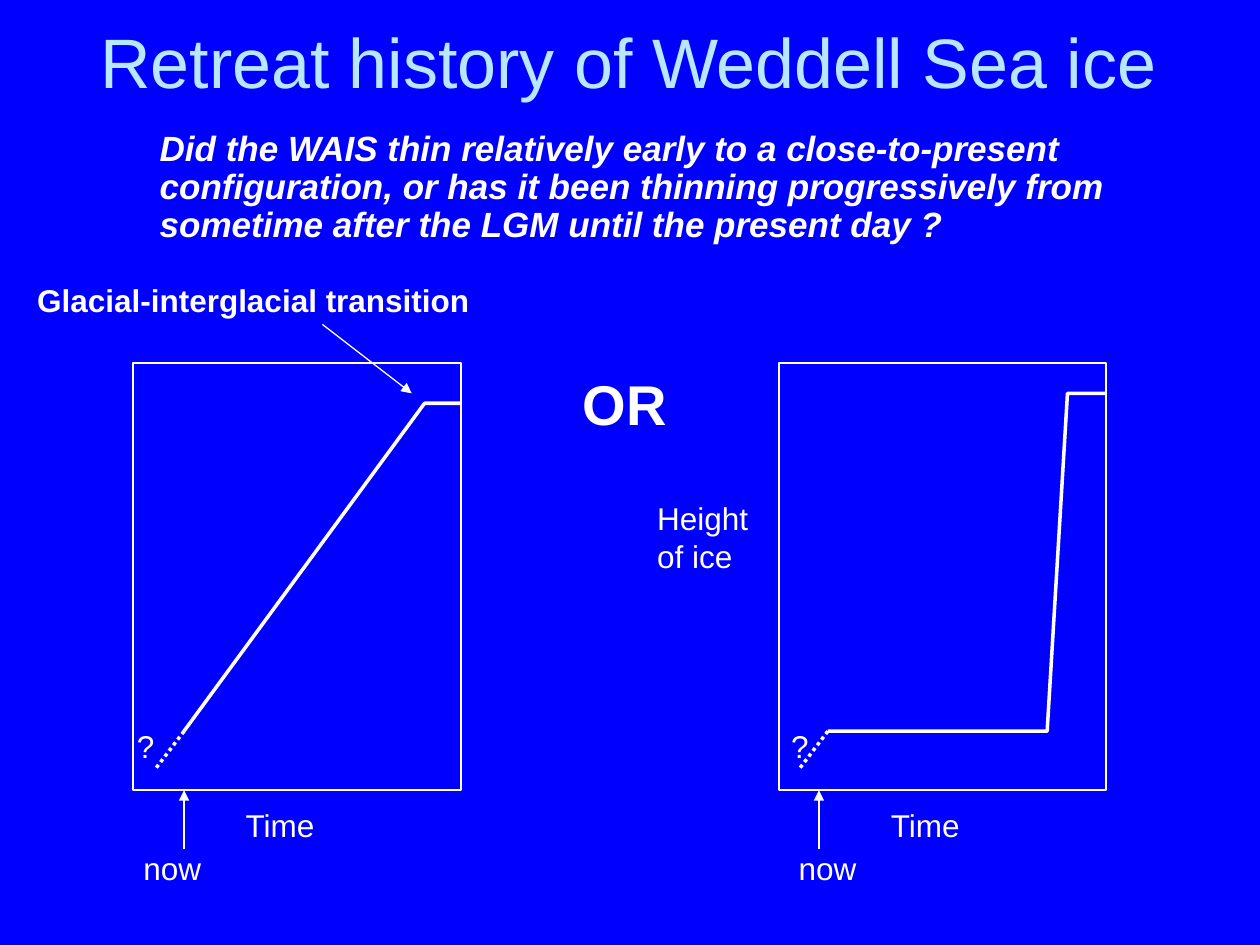
from pptx import Presentation
from pptx.dml.color import RGBColor
from pptx.enum.dml import MSO_LINE
from pptx.enum.shapes import MSO_CONNECTOR, MSO_SHAPE
from pptx.enum.text import MSO_ANCHOR, MSO_AUTO_SIZE, PP_ALIGN
from pptx.oxml.ns import qn
from pptx.util import Cm, Pt
from lxml.etree import SubElement

COLORS = {"back": "0000FF", "title": "B7E7FF", "ink": "FFFFFF"}
FONT = "Arial"
WIDE, HIGH = 6.6, 8.61  # graph frame, cm


def color(name):
    return RGBColor.from_string(COLORS[name])


def write(para, text, size, ink="ink", bold=False, italic=False):
    run = para.add_run()
    run.text = text
    font = run.font
    font.name, font.size = FONT, Pt(size)
    font.bold, font.italic = bold, italic
    font.color.rgb = color(ink)


def label(slide, box, lines, size=18, bold=False, italic=False, wrap=False):
    frame = slide.shapes.add_textbox(*map(Cm, box)).text_frame
    frame.word_wrap = wrap
    frame.auto_size = MSO_AUTO_SIZE.SHAPE_TO_FIT_TEXT
    for i, text in enumerate(lines):
        para = frame.add_paragraph() if i else frame.paragraphs[0]
        write(para, text, size, bold=bold, italic=italic)
    return frame


def stroke(shape, width):
    shape.line.color.rgb = color("ink")
    shape.line.width = Pt(width)


def link(slide, start, end, width=0.75, arrow=True):
    line = slide.shapes.add_connector(
        MSO_CONNECTOR.STRAIGHT, *map(Cm, (*start, *end)))
    stroke(line, width)
    if arrow:
        SubElement(line.line._get_or_add_ln(), qn("a:tailEnd"), type="triangle")
    else:
        line.line.dash_style = MSO_LINE.ROUND_DOT
    SubElement(line._element.spPr, qn("a:effectLst"))


def header(slide, left, top, width):
    # Title
    title = slide.shapes.title
    title.left, title.top = Cm(left), Cm(top)
    title.width, title.height = Cm(width), Cm(1.17)
    frame = title.text_frame
    frame.auto_size = MSO_AUTO_SIZE.NONE
    frame.vertical_anchor = MSO_ANCHOR.MIDDLE
    para = frame.paragraphs[0]
    para.alignment = PP_ALIGN.CENTER
    write(para, "Retreat history of Weddell Sea ice", 40, "title")

    # Question
    text = ("Did the WAIS thin relatively early to a close-to-present "
            "configuration, or has it been thinning progressively from "
            "sometime after the LGM until the present day ?")
    box = (left + 0.86, top + 1.88, 21.62, 2.54)
    frame = label(slide, box, [text], 20, True, True, True)
    para = frame.paragraphs[0]
    para.line_spacing = 0.9
    props = para._p.get_or_add_pPr()
    props.set("marL", str(Cm(1.27)))
    props.set("indent", "0")


def graph(slide, left, top, curve, now, word, mark):
    """Draw a framed curve; now, word and mark are offsets from the left."""
    # Frame and time axis
    rect = slide.shapes.add_shape(
        MSO_SHAPE.RECTANGLE, *map(Cm, (left, top, WIDE, HIGH)))
    rect.shadow.inherit = False
    rect.fill.background()
    stroke(rect, 1.25)
    label(slide, (left + 2.01, top + 8.81, 1.9, 1.02), ["Time"])
    link(slide, (left + now, top + 9.8), (left + now, top + HIGH))
    label(slide, (left + word, top + 9.68, 1.68, 1.02), ["now"])

    # Ice height, with its uncertain end dotted
    points = [(left + x, top + y) for x, y in curve]
    first, *rest = [(Cm(x), Cm(y)) for x, y in points]
    build = slide.shapes.build_freeform(*first)
    build.add_line_segments(rest, close=False)
    path = build.convert_to_shape()
    path.shadow.inherit = False
    path.fill.background()
    stroke(path, 2)
    x, y = points[-1]
    link(slide, (x, y), (x - 0.6, y + 0.79), 2, arrow=False)
    label(slide, (left + mark, top + 7.21, 0.86, 1.02), ["?"])


def notes(slide, left, top):
    # Labels around the two graphs
    label(slide, (left, top, 9.22, 1.02),
          ["Glacial-interglacial transition"], bold=True)
    link(slide, (left + 6, top + 1), (left + 7.8, top + 2.39))
    label(slide, (left + 11, top + 1.78, 2.25, 1.63), ["OR"], 32, True)
    label(slide, (left + 12.5, top + 4.4, 2.51, 1.78), ["Height", "of ice"])


def main():
    deck = Presentation()
    deck.slide_width, deck.slide_height = Cm(25.4), Cm(19.05)
    slide = deck.slides.add_slide(deck.slide_layouts[5])
    fill = slide.background.fill
    fill.solid()
    fill.fore_color.rgb = color("back")

    header(slide, 0.84, 0.64, 23.65)
    steady = [(WIDE, 0.81), (5.87, 0.81), (1.02, 7.42)]
    early = [(WIDE, 0.61), (5.82, 0.61), (5.41, 7.42), (0.99, 7.42)]
    graph(slide, 2.69, 7.32, steady, now=1.02, word=-0.05, mark=-0.18)
    graph(slide, 15.7, 7.32, early, now=0.81, word=0.15, mark=0)
    notes(slide, 0.5, 5.54)
    deck.save("out.pptx")


if __name__ == "__main__":
    main()
